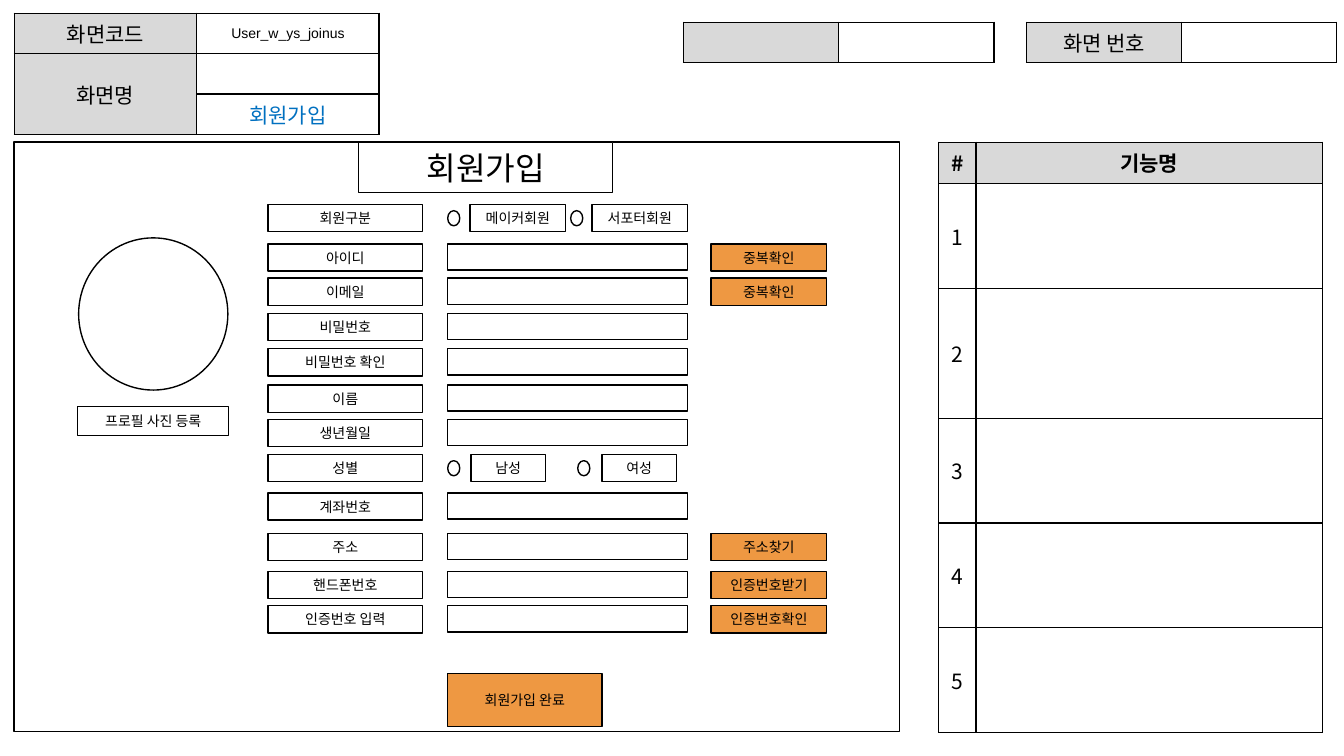
from lxml import etree
from pptx import Presentation, util as u
from pptx.dml.color import RGBColor
from pptx.enum import shapes, text
from pptx.oxml.ns import qn

BLACK = RGBColor(0, 0, 0)
WHITE = RGBColor(255, 255, 255)
GRAY = RGBColor(0xD9, 0xD9, 0xD9)
BLUE = RGBColor(0x00, 0x70, 0xC0)
ORANGE = RGBColor(0xEE, 0x98, 0x42)
FONT = "Noto Sans CJK KR"

# Content: form rows as (label, top, button)
FIELDS = [
    ("아이디", 2.42, "중복확인"),
    ("이메일", 2.76, "중복확인"),
    ("비밀번호", 3.11, None),
    ("비밀번호 확인", 3.46, None),
    ("이름", 3.82, None),
    ("생년월일", 4.16, None),
    ("계좌번호", 4.89, None),
    ("주소", 5.29, "주소찾기"),
    ("핸드폰번호", 5.67, "인증번호받기"),
    ("인증번호 입력", 6.01, "인증번호확인"),
]
# Choice rows as (label, top, option width, [(option, dot left, option left)])
CHOICES = [
    ("회원구분", 2.03, 0.95, [("메이커회원", 4.44, 4.66), ("서포터회원", 5.66, 5.87)]),
    ("성별", 4.51, 0.74, [("남성", 4.44, 4.67), ("여성", 5.73, 5.97)]),
]
# Tables as (left, top, column widths, row heights, cell texts)
SCREEN_INFO = (0.14, 0.13, [1.81] * 2, [0.4] * 3,
               [["화면코드", "User_w_ys_joinus"], ["화면명", ""], ["", "회원가입"]])
SCREEN_NUMBER = (10.18, 0.22, [1.54] * 2, [0.4], [["화면 번호", ""]])
SPARE_INFO = (6.78, 0.22, [1.54] * 2, [0.4], [["", ""]])
FUNCTIONS = (9.31, 1.41, [0.37, 3.44], [0.41, 1.04, 1.29, 1.04, 1.04, 1.04],
             [["#", "기능명"]] + [[str(n), ""] for n in range(1, 6)])

# Form columns as (left, width)
LABEL_COL, INPUT_COL, BUTTON_COL = (2.66, 1.53), (4.44, 2.38), (7.05, 1.15)
ROW_H = 0.27

prs = Presentation()
prs.slide_width, prs.slide_height = u.Inches(13.33), u.Inches(7.5)
slide = prs.slides.add_slide(prs.slide_layouts[6])


def write(paragraph, words, size, color=BLACK, bold=False, font=FONT):
    paragraph.alignment = text.PP_ALIGN.CENTER
    run = paragraph.add_run()
    run.text = words
    run.font.size, run.font.bold, run.font.name = u.Pt(size), bold, font
    run.font.color.rgb = color
    etree.SubElement(run.font._element, qn("a:ea"), typeface=font)


def box(left, top, width, height, words="", fill=WHITE, size=10, line=1, kind="RECTANGLE"):
    shape = slide.shapes.add_shape(getattr(shapes.MSO_SHAPE, kind),
                                   *map(u.Inches, (left, top, width, height)))
    shape.shadow.inherit = False
    shape.fill.solid()
    shape.fill.fore_color.rgb = fill
    shape.line.color.rgb = BLACK
    shape.line.width = u.Pt(line)
    if words:
        frame = shape.text_frame
        frame.word_wrap = True
        frame.vertical_anchor = text.MSO_ANCHOR.MIDDLE
        frame.margin_left = frame.margin_right = u.Inches(0.05)
        frame.margin_top = frame.margin_bottom = 0
        write(frame.paragraphs[0], words, size)


def add_borders(cell):
    props = cell._tc.get_or_add_tcPr()
    for side in ("L", "R", "T", "B"):
        edge = etree.SubElement(props, qn(f"a:ln{side}"), w=str(u.Pt(1)))
        paint = etree.SubElement(edge, qn("a:solidFill"))
        etree.SubElement(paint, qn("a:srgbClr"), val=str(BLACK))


def grid(left, top, widths, heights, rows, shaded, styles):
    """Draw a bordered table; shaded(r, c) picks the gray cells."""
    table = slide.shapes.add_table(
        len(heights), len(widths),
        *map(u.Inches, (left, top, sum(widths), sum(heights)))).table
    for column, width in zip(table.columns, widths):
        column.width = u.Inches(width)
    for r, height in enumerate(heights):
        table.rows[r].height = u.Inches(height)
        for c, words in enumerate(rows[r]):
            cell = table.cell(r, c)
            add_borders(cell)
            cell.fill.solid()
            cell.fill.fore_color.rgb = GRAY if shaded(r, c) else WHITE
            cell.vertical_anchor = text.MSO_ANCHOR.MIDDLE
            margin = u.Inches(0.05 if words else 0.01)
            cell.margin_left = cell.margin_right = margin
            cell.margin_top = cell.margin_bottom = margin
            if words:
                write(cell.text_frame.paragraphs[0], words,
                      **{"size": 15, **styles.get((r, c), {})})
    return table


def first_column(r, c):
    return c == 0


def header_row(r, c):
    return r == 0


# Header and function tables
info = grid(*SCREEN_INFO, first_column,
            {(0, 1): {"size": 10, "font": "Arial"}, (2, 1): {"color": BLUE}})
info.cell(1, 0).merge(info.cell(2, 0))
grid(*SCREEN_NUMBER, first_column, {})
grid(*SPARE_INFO, first_column, {})
grid(*FUNCTIONS, header_row, {(0, c): {"bold": True} for c in range(2)})

# Screen panel, title and profile photo
box(0.14, 1.41, 8.78, 5.85)
box(3.56, 1.41, 2.52, 0.5, "회원가입", size=23, line=0.75)
box(0.78, 2.36, 1.48, 1.51, kind="OVAL")
box(0.77, 4.03, 1.5, 0.29, "프로필 사진 등록", line=0.75)

# Input rows
for label, top, button in FIELDS:
    box(LABEL_COL[0], top, LABEL_COL[1], ROW_H, label)
    box(INPUT_COL[0], top, INPUT_COL[1], ROW_H - 0.01)
    if button:
        box(BUTTON_COL[0], top, BUTTON_COL[1], ROW_H, button, ORANGE)

# Choice rows
for label, top, width, options in CHOICES:
    box(LABEL_COL[0], top, LABEL_COL[1], ROW_H, label)
    for option, dot_left, option_left in options:
        box(dot_left, top + 0.06, 0.12, 0.15, kind="OVAL")
        box(option_left, top, width, ROW_H, option)

# Submit button
box(INPUT_COL[0], 6.68, LABEL_COL[1], 0.53, "회원가입 완료", ORANGE)

prs.save("out.pptx")
